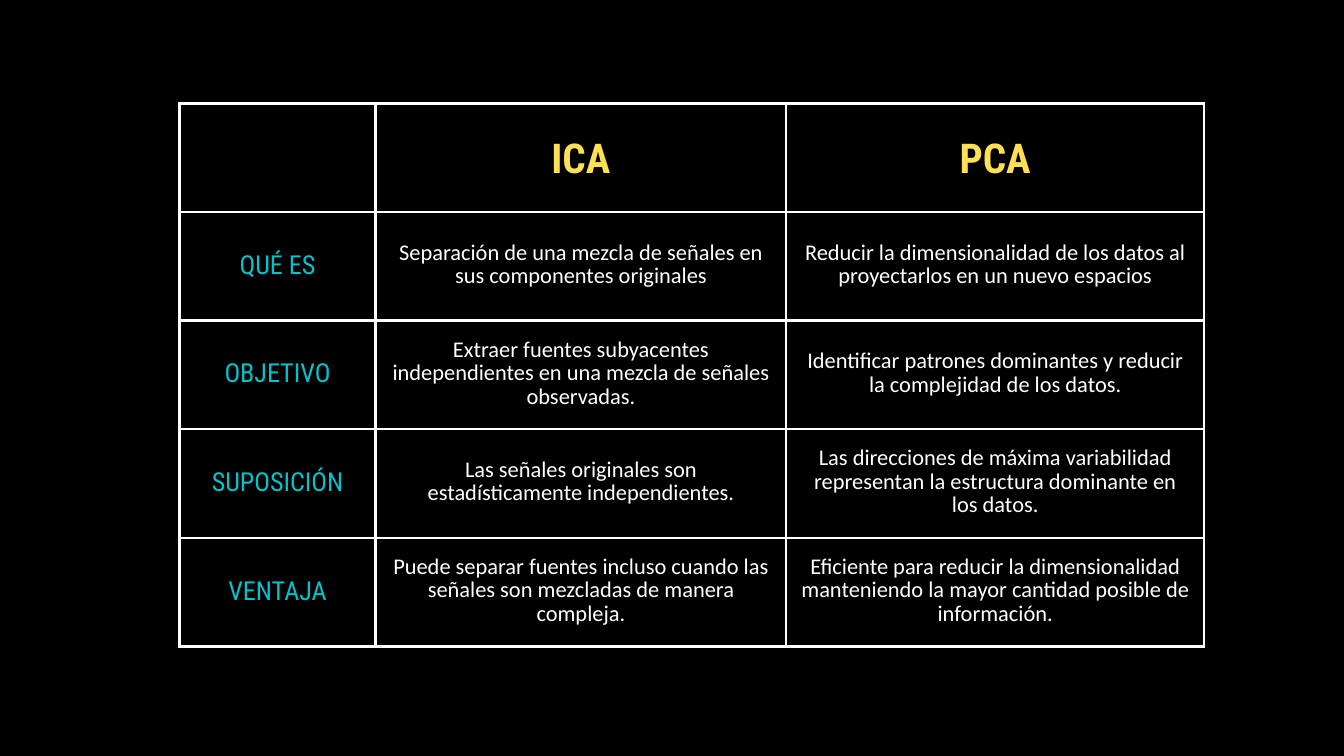
from pptx import Presentation
from pptx.dml.color import RGBColor
from pptx.enum.text import MSO_ANCHOR as Anchor, PP_ALIGN as Align
from pptx.oxml.ns import qn
from pptx.util import Inches, Pt
from lxml.etree import SubElement

BLACK = RGBColor(0x00, 0x00, 0x00)
WHITE = RGBColor(0xFF, 0xFF, 0xFF)
YELLOW = RGBColor(0xFF, 0xE0, 0x52)
TEAL = RGBColor(0x00, 0xC4, 0xCC)

HEADING = dict(font="Roboto Condensed", size=44, color=YELLOW, spacing=56, bold=True)
LABEL = dict(font="Roboto Condensed", size=28, color=TEAL, spacing=30.8)
BODY = dict(font="Calibri", size=24, color=WHITE, spacing=25.2)

COLUMN_WIDTHS = [2.92, 6.11, 6.22]
TABLE_HEIGHT = 8.08
CELL_MARGIN = Inches(0.21)

ROWS = [
    ("", "ICA", "PCA"),
    ("QUÉ ES",
     "Separación de una mezcla de señales en sus componentes originales",
     "Reducir la dimensionalidad de los datos al proyectarlos en un nuevo espacios"),
    ("OBJETIVO",
     "Extraer fuentes subyacentes independientes en una mezcla de señales observadas.",
     "Identificar patrones dominantes y reducir la complejidad de los datos."),
    ("SUPOSICIÓN",
     "Las señales originales son estadísticamente independientes.",
     "Las direcciones de máxima variabilidad representan la estructura dominante en los datos."),
    ("VENTAJA",
     "Puede separar fuentes incluso cuando las señales son mezcladas de manera compleja.",
     "Eficiente para reducir la dimensionalidad manteniendo la mayor cantidad posible de información."),
]


def set_borders(cell, color, width):
    properties = cell._tc.get_or_add_tcPr()
    for side in ("a:lnL", "a:lnR", "a:lnT", "a:lnB"):
        line = SubElement(properties, qn(side), w=str(Pt(width)))
        fill = SubElement(line, qn("a:solidFill"))
        SubElement(fill, qn("a:srgbClr"), val=str(color))


def write_text(cell, text, font, size, color, spacing, bold=False):
    paragraph = cell.text_frame.paragraphs[0]
    paragraph.alignment = Align.CENTER
    paragraph.line_spacing = Pt(spacing)
    run = paragraph.add_run()
    run.text = text
    run.font.name = font
    run.font.size = Pt(size)
    run.font.bold = bold
    run.font.color.rgb = color


def format_cell(cell):
    set_borders(cell, WHITE, 3)
    cell.fill.solid()
    cell.fill.fore_color.rgb = BLACK
    cell.vertical_anchor = Anchor.MIDDLE
    cell.margin_left = cell.margin_right = CELL_MARGIN
    cell.margin_top = cell.margin_bottom = CELL_MARGIN


def text_style(row_index, column_index):
    if row_index == 0:
        return HEADING
    return LABEL if column_index == 0 else BODY


def add_comparison_table(slide):
    frame = slide.shapes.add_table(
        len(ROWS), len(COLUMN_WIDTHS), Inches(2.67), Inches(1.54),
        Inches(sum(COLUMN_WIDTHS)), Inches(TABLE_HEIGHT))
    table = frame.table
    table.first_row = False
    table.horz_banding = False
    for column, width in zip(table.columns, COLUMN_WIDTHS):
        column.width = Inches(width)
    for row_index, texts in enumerate(ROWS):
        for column_index, text in enumerate(texts):
            cell = table.cell(row_index, column_index)
            format_cell(cell)
            if text:
                write_text(cell, text, **text_style(row_index, column_index))


def main():
    presentation = Presentation()
    presentation.slide_width = Inches(20)
    presentation.slide_height = Inches(11.25)
    slide = presentation.slides.add_slide(presentation.slide_layouts[6])
    slide.background.fill.solid()
    slide.background.fill.fore_color.rgb = BLACK
    add_comparison_table(slide)
    presentation.save("out.pptx")


if __name__ == "__main__":
    main()
